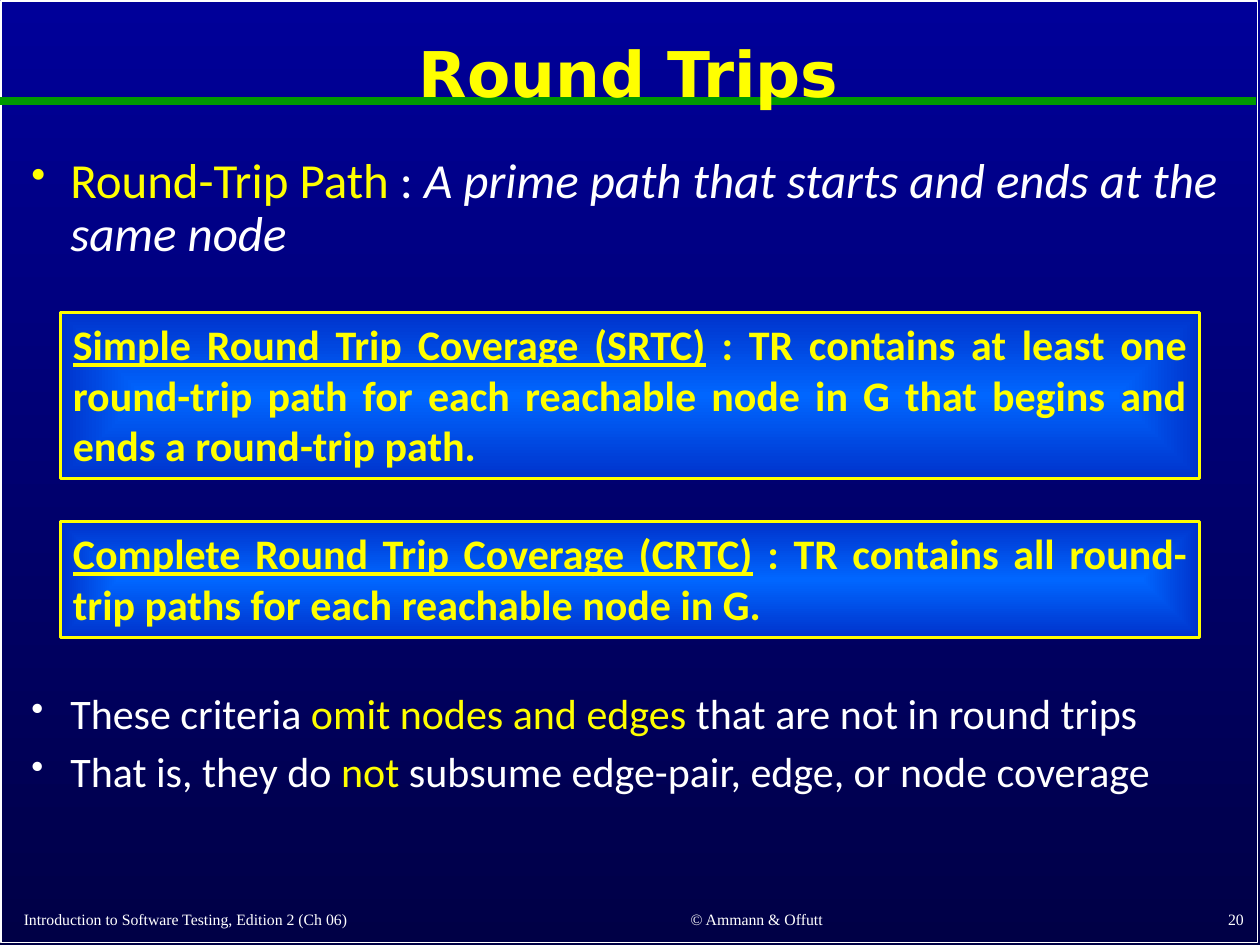
from lxml import etree
from pptx import Presentation
from pptx.dml.color import RGBColor
from pptx.enum.shapes import MSO_CONNECTOR as CONN, MSO_SHAPE as SHAPE
from pptx.enum.text import MSO_ANCHOR as ANCHOR, MSO_AUTO_SIZE as AUTO, PP_ALIGN as AL
from pptx.oxml.ns import qn
from pptx.util import Inches, Pt

COLS, ROWS = 100, 75
WHITE, YELLOW, GREEN = "FFFFFF", "FFFF00", "009900"


def rgb(color):
    return RGBColor.from_string(color)


class Deck:
    body_font, title_font, foot_font = "Calibri", "DejaVu Sans", "Times New Roman"
    indent = Inches(0.31)

    def __init__(self):
        self.prs = Presentation()
        self.prs.slide_width, self.prs.slide_height = Inches(10), Inches(7.5)
        self.s = self.prs.slides.add_slide(self.prs.slide_layouts[5])

    def x(self, cols):
        return round(self.prs.slide_width * cols / COLS)

    def y(self, rows):
        return round(self.prs.slide_height * rows / ROWS)

    def area(self, col, row, cols, rows):
        return self.x(col), self.y(row), self.x(cols), self.y(rows)

    def gradient(self, fill, *colors):
        fill.gradient()
        for stop, color in zip(fill.gradient_stops, colors):
            stop.color.rgb = rgb(color)

    def background(self, top, bottom):
        fill = self.s.background.fill
        self.gradient(fill, top, bottom)
        fill.gradient_angle = 270

    def add_runs(self, p, runs, size, font, bold=False):
        for text, color, *styles in runs:
            r = p.add_run()
            r.text = text
            f = r.font
            f.size, f.name, f.bold = Pt(size), font, bold
            f.italic, f.underline = "i" in styles, "u" in styles
            f.color.rgb = rgb(color)

    def title(self, text, *area):
        sp = self.s.shapes.title
        sp.left, sp.top, sp.width, sp.height = self.area(*area)
        tf = sp.text_frame
        tf.auto_size, tf.vertical_anchor = AUTO.NONE, ANCHOR.MIDDLE
        p = tf.paragraphs[0]
        p.alignment, p.line_spacing = AL.CENTER, 0.9
        self.add_runs(p, [(text, YELLOW)], 36, self.title_font, True)
        sp.element.getparent().append(sp.element)

    def rect(self, area, line, width):
        sp = self.s.shapes.add_shape(SHAPE.RECTANGLE, *self.area(*area))
        sp.shadow.inherit = False
        sp.line.color.rgb, sp.line.width = rgb(line), Pt(width)
        return sp

    def frame(self, *area):
        self.rect(area, WHITE, 1).fill.background()

    def rule(self, col, row, end):
        ln = self.s.shapes.add_connector(
            CONN.STRAIGHT, self.x(col), self.y(row), self.x(end), self.y(row))
        ln.line.color.rgb, ln.line.width = rgb(GREEN), Pt(4.5)
        etree.SubElement(ln.element.spPr, qn("a:effectLst"))

    def definition(self, term, meaning, *area):
        sp = self.rect(area, YELLOW, 1.5)
        self.gradient(sp.fill, "0066FF", "0033CC")
        grad = sp.element.spPr.find(qn("a:gradFill"))
        grad.remove(grad.find(qn("a:lin")))
        shade = etree.SubElement(grad, qn("a:path"), {"path": "shape"})
        etree.SubElement(shade, qn("a:fillToRect"), dict.fromkeys("ltrb", "50000"))
        tf = sp.text_frame
        tf.word_wrap, tf.vertical_anchor = True, ANCHOR.TOP
        p = tf.paragraphs[0]
        p.alignment = AL.JUSTIFY
        self.add_runs(p, [(term, YELLOW, "u"), (" : " + meaning, YELLOW)], 24, self.body_font, True)

    def text_box(self, area):
        tf = self.s.shapes.add_textbox(*self.area(*area)).text_frame
        tf.word_wrap = True
        return tf

    def bullets(self, items, size, *area):
        tf = self.text_box(area)
        for i, runs in enumerate(items):
            p = tf.add_paragraph() if i else tf.paragraphs[0]
            pPr = p._p.get_or_add_pPr()
            pPr.set("marL", str(self.indent))
            pPr.set("indent", str(-self.indent))
            etree.SubElement(pPr, qn("a:buSzPct"), val="85000")
            etree.SubElement(pPr, qn("a:buChar"), char="•")
            p.line_spacing = 0.9
            if i:
                p.space_before = Pt(0.3 * size)
            self.add_runs(p, runs, size, self.body_font)

    def footer(self, text, align, *area):
        tf = self.text_box(area)
        tf.vertical_anchor = ANCHOR.BOTTOM
        p = tf.paragraphs[0]
        p.alignment = align
        self.add_runs(p, [(text, WHITE)], 9, self.foot_font)


def main():
    d = Deck()
    d.background("000099", "000046")
    d.frame(0.1, 0.1, 99.7, 74.7)
    d.rule(0, 8, 99.7)
    d.footer("Introduction to Software Testing, Edition 2 (Ch 06)", AL.LEFT, 0.9, 71.2, 41.2, 3)
    d.footer("© Ammann & Offutt", AL.CENTER, 44.2, 71.1, 31.7, 3.1)
    d.footer("20", AL.RIGHT, 78.9, 71, 20.8, 3.2)
    d.title("Round Trips", 0.9, 1.1, 98, 10)
    d.bullets([[("Round-Trip Path", YELLOW), (" : ", WHITE),
                ("A prime path that starts and ends at the same node", WHITE, "i")]],
              28, 1.5, 11.9, 97, 10.2)
    d.definition("Simple Round Trip Coverage (SRTC)",
                 "TR contains at least one round-trip path for each reachable node in G "
                 "that begins and ends a round-trip path.", 4.8, 24.8, 90.4, 13.2)
    d.definition("Complete Round Trip Coverage (CRTC)",
                 "TR contains all round-trip paths for each reachable node in G.",
                 4.8, 41.4, 90.4, 9.2)
    d.bullets([[("These criteria ", WHITE), ("omit nodes and edges", YELLOW),
                (" that are not in round trips", WHITE)],
               [("That is, they do ", WHITE), ("not", YELLOW),
                (" subsume edge-pair, edge, or node coverage", WHITE)]],
              24, 1.5, 54.5, 97, 10.2)
    d.prs.save("out.pptx")


if __name__ == "__main__":
    main()
